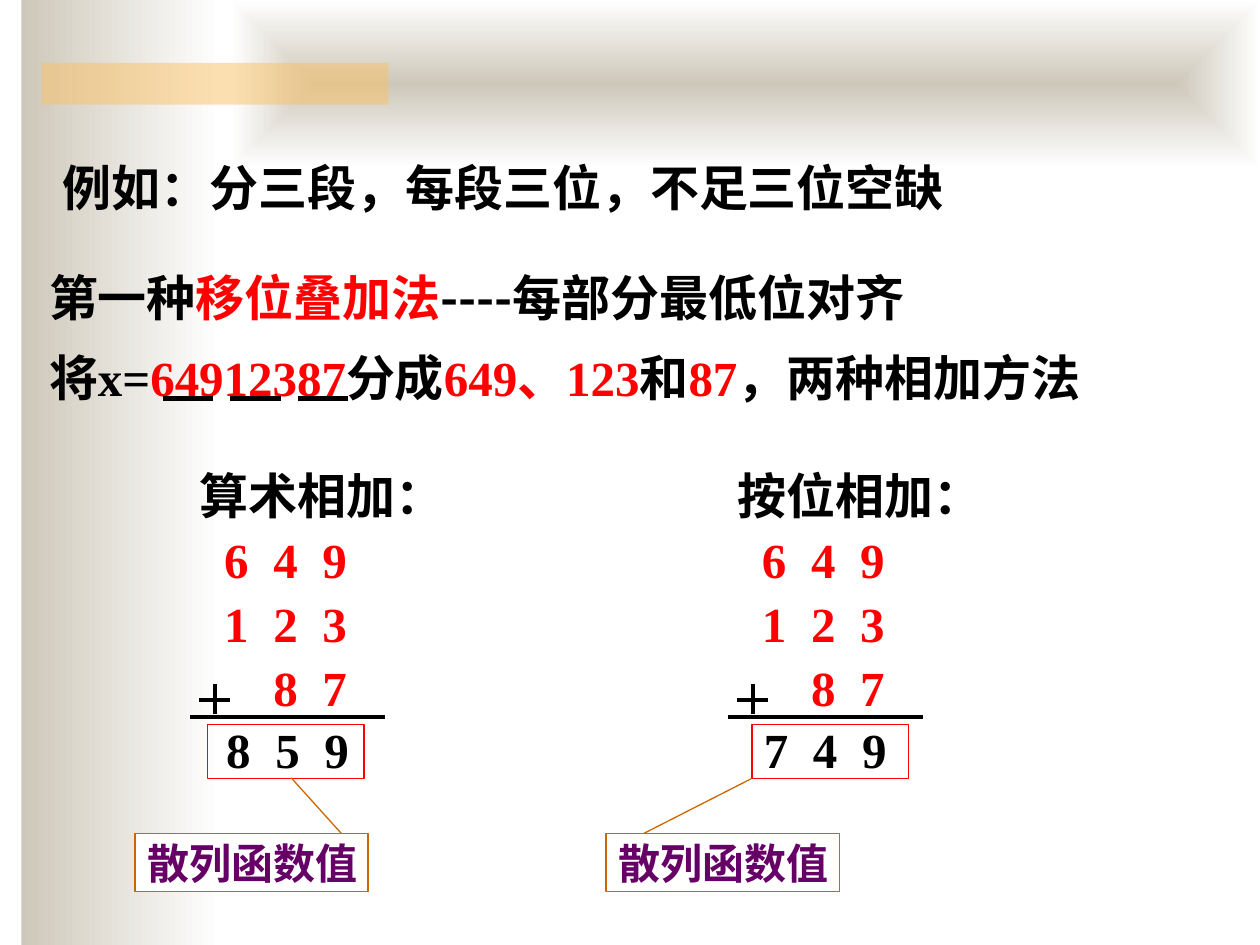
import pptx
import pptx.util
import pptx.dml.color
import pptx.enum.shapes
import pptx.enum.text
import pptx.oxml.ns
import lxml.etree

Cm, Pt = pptx.util.Cm, pptx.util.Pt
RGB = pptx.dml.color.RGBColor
RECT = pptx.enum.shapes.MSO_SHAPE.RECTANGLE
ALIGN = pptx.enum.text.PP_ALIGN
qn = pptx.oxml.ns.qn

BLACK, WHITE, RED = RGB(0, 0, 0), RGB(255, 255, 255), RGB(255, 0, 0)
TAN, GOLD = RGB(0xCE, 0xC8, 0xBA), RGB(0xFA, 0xC1, 0x64)
RUST, PLUM = RGB(0xCC, 0x66, 0x00), RGB(0x66, 0x00, 0x66)
SERIF, SANS = "Times New Roman", "Noto Sans CJK SC"


def sub(node, tag, **attrs):
    return lxml.etree.SubElement(node, qn(tag), attrs)


def rect(slide, box, fill=None, line=None):
    shape = slide.shapes.add_shape(RECT, *map(Cm, box))
    shape.shadow.inherit = False
    if fill is None:
        shape.fill.background()
    else:
        shape.fill.solid()
        shape.fill.fore_color.rgb = fill
    if line is None:
        shape.line.fill.background()
    else:
        shape.line.color.rgb = line
        shape.line.width = Pt(0.75)
    return shape


def line(slide, x1, y1, x2, y2, color=BLACK, width=2.25):
    link = slide.shapes.add_connector(
        pptx.enum.shapes.MSO_CONNECTOR.STRAIGHT, *map(Cm, (x1, y1, x2, y2)))
    link.line.color.rgb = color
    link.line.width = Pt(width)
    sub(link._element.spPr, "a:effectLst")


def frame(slide, box):
    text = slide.shapes.add_textbox(*map(Cm, box)).text_frame
    text.word_wrap = True
    return text


def style(para, size=28, color=BLACK):
    font = para.font
    font.name, font.size, font.bold = SERIF, Pt(size), True
    font.color.rgb = color


def prose(para, runs, gap=0):
    """Fill a justified paragraph with (text, colour, font) runs."""
    para.alignment = ALIGN.JUSTIFY
    para.line_spacing = Pt(40)
    para.space_before = Pt(gap)
    style(para)
    for words, color, face in runs:
        run = para.add_run()
        run.text = words
        run.font.color.rgb = color
        run.font.name = face


def digits(para, words, stops, color):
    """Set digits on tab stops given in cm."""
    para.text = words
    tabs = sub(para._p.get_or_add_pPr(), "a:tabLst")
    for stop in stops:
        sub(tabs, "a:tab", pos=str(int(Cm(stop))), algn="l")
    style(para, color=color)


def blend(shape):
    shape.fill.gradient()
    for stop, color in zip(shape.fill.gradient_stops, (TAN, WHITE)):
        stop.color.rgb = color
    shape.fill.gradient_angle = 0


def backdrop(slide):
    # Side band
    blend(rect(slide, (0.43, 0, 4.01, 19.05)))
    # Top panel, shaded from its centre
    top = rect(slide, (4.65, 0, 20.75, 3.38))
    blend(top)
    grad = top._element.spPr.find(qn("a:gradFill"))
    grad.remove(grad.find(qn("a:lin")))
    shade = sub(grad, "a:path", path="shape")
    sub(shade, "a:fillToRect", **dict.fromkeys("ltrb", "50000"))
    # Half-clear gold bar
    bar = rect(slide, (0.84, 1.27, 6.99, 0.84), GOLD)
    sub(bar._element.spPr.find(".//" + qn("a:srgbClr")), "a:alpha", val="50000")


def column(slide, left, top, head, total):
    # Heading and the three parts
    text = frame(slide, (left, top + 0.1, 5.87, 5.23))
    prose(text.paragraphs[0], [(head, BLACK, SERIF)])
    for row in ("\t6\t4\t9", "\t1\t2\t3", "\t\t8\t7"):
        para = text.add_paragraph()
        para.line_spacing = Pt(36.5)
        digits(para, row, (0.49, 1.48, 2.47), RED)
    # Sum rule and plus sign
    for x1, y1, x2, y2 in ((0.05, 5.51, 3.99, 5.51),
                           (0.23, 5.18, 0.86, 5.18),
                           (0.56, 4.85, 0.56, 5.46)):
        line(slide, left + x1, top + y1, left + x2, top + y2)
    # Total
    text = frame(slide, (left + 0.53, top + 5.44, 3.25, 1.47))
    digits(text.paragraphs[0], total, (0.99, 1.98), BLACK)


def callout(slide, left, top, mark, ends):
    # Frame round the total, leader, label
    rect(slide, (mark, 14.6, 3.15, 1.1), line=RED)
    line(slide, *ends, RUST, 0.75)
    text = rect(slide, (left, top, 4.7, 1.18), WHITE, RUST).text_frame
    text.word_wrap = False
    text.vertical_anchor = pptx.enum.text.MSO_ANCHOR.MIDDLE
    para = text.paragraphs[0]
    para.text = "散列函数值"
    para.alignment = ALIGN.LEFT
    style(para, 24, PLUM)


def method(slide, left, top):
    text = frame(slide, (left, top + 0.1, 23.72, 3.78))
    prose(text.paragraphs[0], [("第一种", BLACK, SERIF),
                               ("移位叠加法", RED, SANS),
                               ("----每部分最低位对齐", BLACK, SANS)])
    parts = ("将x=", "64912387", "分成", "649、123", "和", "87",
             "，两种相加方法　")
    prose(text.add_paragraph(),
          [(part, (BLACK, RED)[i % 2], SERIF) for i, part in enumerate(parts)],
          5.6)
    # Underline each segment of the key
    for i in range(3):
        x = left + 2.54 + 1.36 * i
        line(slide, x, top + 3.08, x + 1.02, top + 3.08, width=3)


def main():
    deck = pptx.Presentation()
    deck.slide_width, deck.slide_height = Cm(25.4), Cm(19.05)
    slide = deck.slides.add_slide(deck.slide_layouts[6])
    backdrop(slide)
    intro = frame(slide, (1.02, 2.82, 20.98, 1.65))
    prose(intro.paragraphs[0],
          [("例如：分三段，每段三位，不足三位空缺", BLACK, SERIF)])
    column(slide, 3.78, 8.94, "算术相加：", "8\t5\t9")
    column(slide, 14.62, 8.94, "按位相加：", "7\t4\t9")
    callout(slide, 2.72, 16.8, 4.19, (6.88, 16.8, 5.87, 15.68))
    callout(slide, 12.22, 16.8, 15.16, (15.14, 15.7, 12.98, 16.8))
    method(slide, 0.74, 4.95)
    deck.save("out.pptx")


if __name__ == "__main__":
    main()
